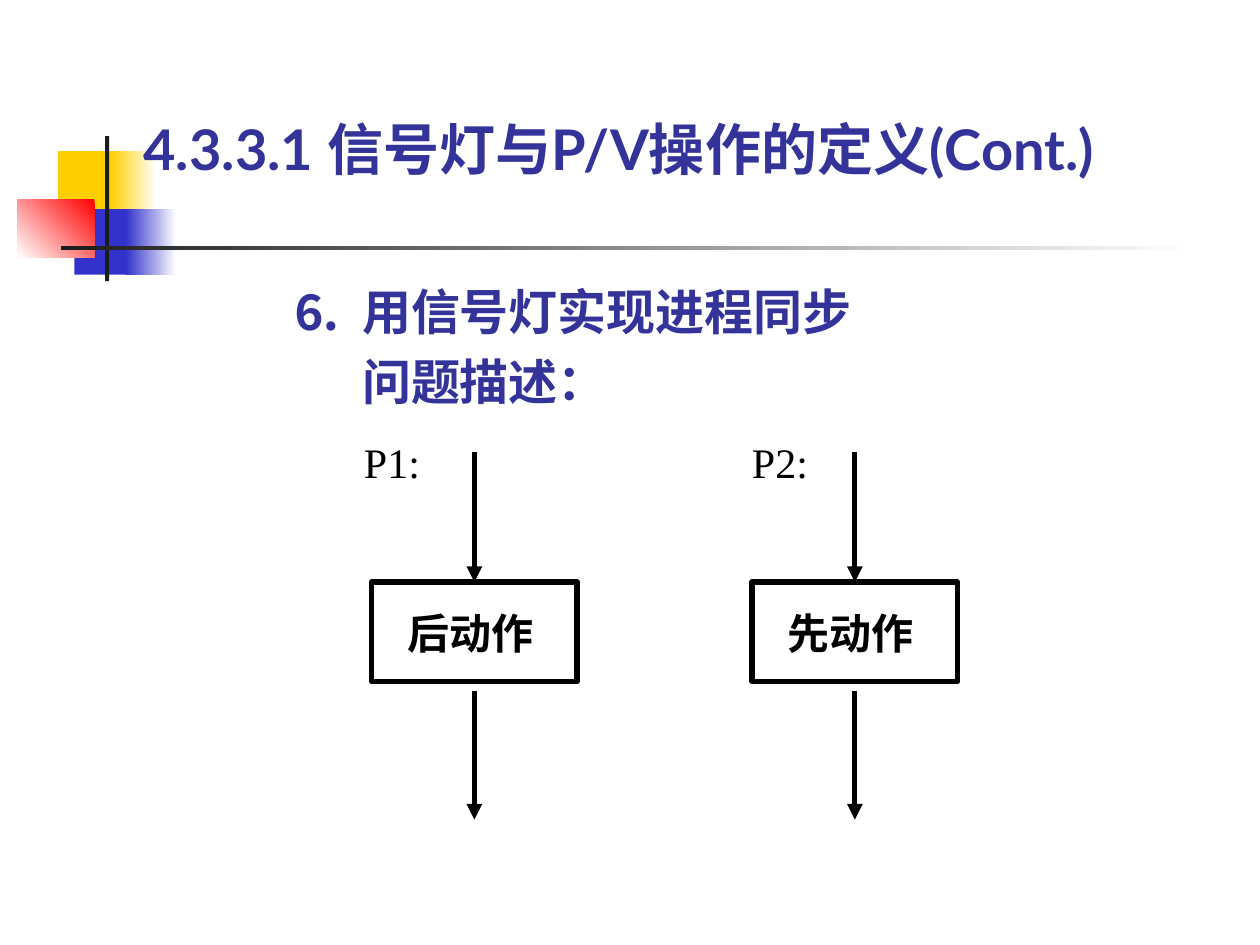
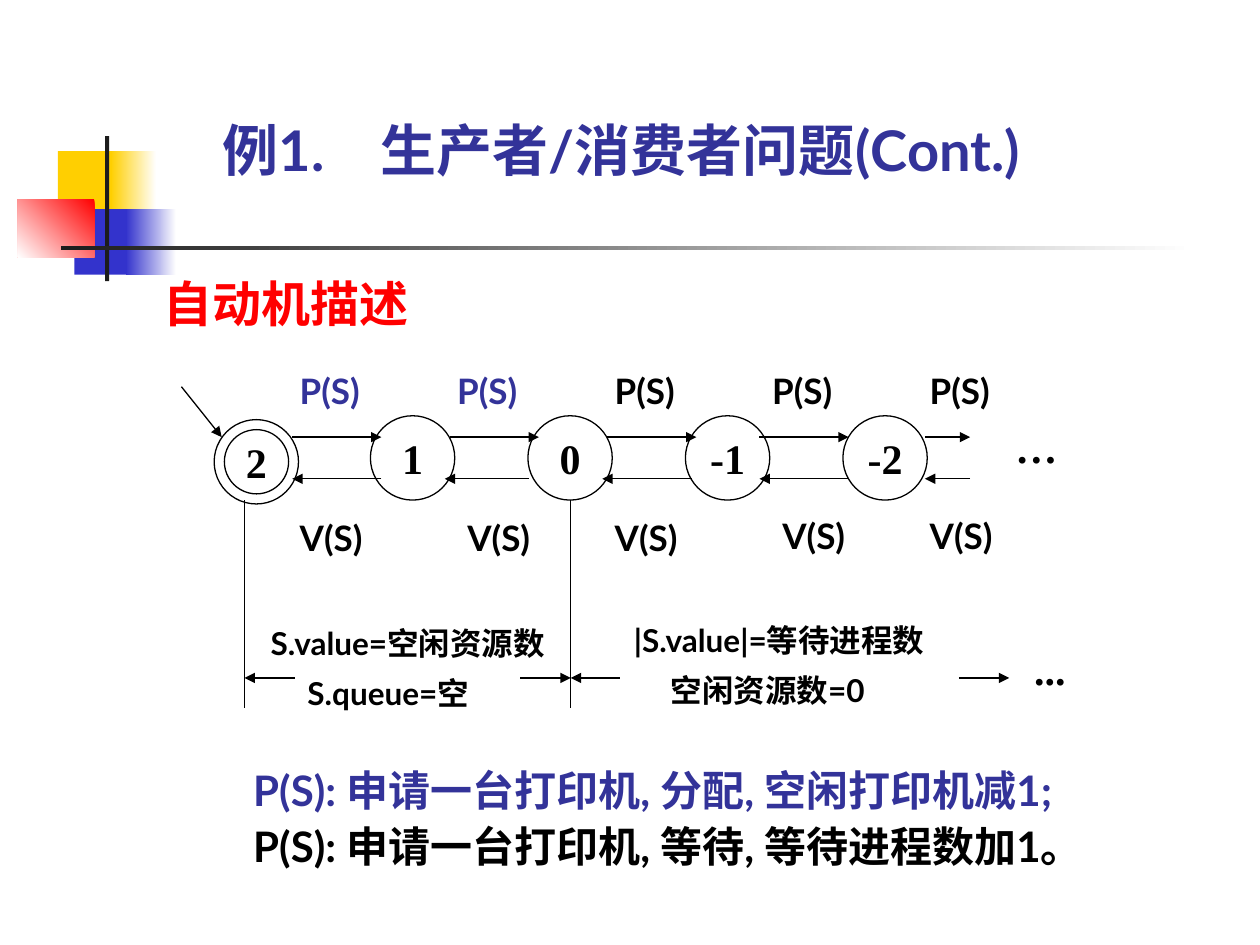
from pptx import Presentation
from pptx.dml.color import RGBColor
from pptx.enum.shapes import MSO_CONNECTOR as CONNECTOR, MSO_SHAPE as SHAPE
from pptx.enum.text import MSO_ANCHOR as ANCHOR, MSO_AUTO_SIZE as AUTO_SIZE, PP_ALIGN as ALIGN
from pptx.oxml.ns import qn
from pptx.util import Pt
from lxml.etree import SubElement

rgb = RGBColor.from_string
BLUE, RED, BLACK, WHITE = "333399", "FF0000", "000000", "FFFFFF"
YELLOW, INDIGO, CHARCOAL = "FFCF01", "3333CC", "1C1C1C"
LATIN, SERIF, COMIC = "Lato", "Times New Roman", "Comic Neue"
LABEL_INSETS = (7.2, 3.6, 7.2, 3.6)
HEADING_SIZE, SECTION_SIZE = 32, 28


def write_text(shape, lines, size=24, font=LATIN, colors=(BLACK,), bold=True, align=ALIGN.LEFT,
               anchor=ANCHOR.TOP, insets=(0, 0, 0, 0), wrap=True, spacing=1.0, before=0,
               indent=0, hanging=0):
    frame = shape.text_frame
    frame.auto_size = AUTO_SIZE.NONE
    frame.word_wrap = wrap
    frame.vertical_anchor = anchor
    frame.margin_left, frame.margin_top, frame.margin_right, frame.margin_bottom = map(Pt, insets)
    for index, line in enumerate(lines):
        paragraph = frame.paragraphs[0] if index == 0 else frame.add_paragraph()
        paragraph.text = line
        paragraph.alignment = align
        paragraph.line_spacing = spacing
        paragraph.space_before = Pt(before if index else 0)
        left = hanging or (indent if index else 0)
        properties = paragraph._p.get_or_add_pPr()
        properties.set("marL", str(Pt(left)))
        properties.set("indent", str(-Pt(hanging) if index == 0 else 0))
        for run in paragraph.runs:
            run.font.name = font
            run.font.size = Pt(size)
            run.font.bold = bold
            run.font.color.rgb = rgb(colors[min(index, len(colors) - 1)])


def add_line(slide, x1, y1, x2, y2, width=0.75, arrow=True):
    line = slide.shapes.add_connector(CONNECTOR.STRAIGHT, Pt(x1), Pt(y1), Pt(x2), Pt(y2))
    line.line.color.rgb = rgb(BLACK)
    line.line.width = Pt(width)
    properties = line.element.spPr
    if arrow:
        SubElement(properties.find(qn("a:ln")), qn("a:tailEnd"), type="triangle")
    SubElement(properties, qn("a:effectLst"))
    return line


presentation = Presentation()
presentation.slide_width, presentation.slide_height = Pt(720), Pt(540)
layout = presentation.slide_layouts[5]

headings = [
    ("4.3.3.1 信号灯与P/V操作的定义(Cont.)", (82, 65.5, 607, 38.2), 0),
    ("例1.\t生产者/消费者问题(Cont.)", (127.4, 27.4, 487.4, 77), 90),
]
slides = []
for heading, box, hanging in headings:
    slide = presentation.slides.add_slide(layout)
    title = slide.shapes.title
    title.left, title.top, title.width, title.height = map(Pt, box)
    write_text(title, [heading], size=HEADING_SIZE, colors=[BLUE], anchor=ANCHOR.BOTTOM,
               hanging=hanging)
    slides.append(slide)
sync_slide, automaton_slide = slides

decorations = [
    ((33.1, 86.4, 34.6, 37.4), [YELLOW], 0),
    ((63.4, 86.4, 25.9, 37.4), [WHITE, YELLOW], 180),
    ((42.5, 119.5, 33.1, 37.4), [INDIGO], 0),
    ((72, 119.5, 28.8, 37.4), [WHITE, INDIGO], 180),
    ((10.1, 113.8, 43.9, 33.1), [RED, WHITE], 225),
    ((60, 77.8, 2.4, 82.8), [CHARCOAL], 0),
    ((34.6, 140.4, 648, 2.4), [WHITE, CHARCOAL], 180),
]
for box, colors, angle in decorations:
    block = sync_slide.shapes.add_shape(SHAPE.RECTANGLE, *map(Pt, box))
    block.shadow.inherit = False
    block.line.fill.background()
    if len(colors) == 1:
        block.fill.solid()
        block.fill.fore_color.rgb = rgb(colors[0])
    else:
        block.fill.gradient()
        block.fill.gradient_angle = angle
        for stop, color in zip(block.fill.gradient_stops, colors):
            stop.color.rgb = rgb(color)
    layout.shapes.element.append(block.element)

problem = sync_slide.shapes.add_textbox(Pt(167), Pt(154), Pt(340), Pt(80.7))
write_text(problem, ["⒍\t用信号灯实现进程同步", "问题描述："], size=SECTION_SIZE, colors=[BLUE],
           anchor=ANCHOR.BOTTOM, spacing=1.2, hanging=40)

box_top, box_width, box_height = 332.6, 117.4, 56.9
for name, action, name_left, box_left in [("P1:", "后动作", 200.9, 212.4),
                                          ("P2:", "先动作", 422.6, 429.8)]:
    label = sync_slide.shapes.add_textbox(Pt(name_left), Pt(246.2), Pt(54), Pt(36))
    write_text(label, [name], font=SERIF, bold=False, insets=LABEL_INSETS)
    action_box = sync_slide.shapes.add_shape(SHAPE.RECTANGLE, Pt(box_left), Pt(box_top),
                                             Pt(box_width), Pt(box_height))
    action_box.shadow.inherit = False
    action_box.fill.background()
    action_box.line.color.rgb = rgb(BLACK)
    action_box.line.width = Pt(3)
    write_text(action_box, [action], font=COMIC, insets=(20.4, 14.4, 14.4, 14.4))
    middle = box_left + box_width / 2
    entry = add_line(sync_slide, middle, 258.5, middle, box_top, width=3)
    entry.end_connect(action_box, 0)
    add_line(sync_slide, middle, 394.6, middle, 468.4, width=3)

section = automaton_slide.shapes.add_textbox(Pt(93.6), Pt(156.2), Pt(147.6), Pt(33.8))
write_text(section, ["自动机描述"], size=SECTION_SIZE, colors=[RED], anchor=ANCHOR.BOTTOM)

pitch = 90
states = [("2", 122.4, 239.8, 48.2), ("", 128.2, 245.5, 36.7)]
states += [(value, 211.7 + pitch * step, 237.6, 48.2)
           for step, value in enumerate(["1", "0", "-1", "-2"])]
for value, left, top, diameter in states:
    state = automaton_slide.shapes.add_shape(SHAPE.OVAL, Pt(left), Pt(top),
                                             Pt(diameter), Pt(diameter))
    state.shadow.inherit = False
    state.fill.background()
    state.line.color.rgb = rgb(BLACK)
    state.line.width = Pt(0.75)
    if value:
        write_text(state, [value], font=SERIF, align=ALIGN.CENTER, anchor=ANCHOR.MIDDLE,
                   insets=LABEL_INSETS, wrap=False)

for start, end in [(167, 218), (257, 308), (347, 398), (434, 485), (528.5, 554.4)]:
    add_line(automaton_slide, start, 249.8, end, 249.8)
for start, end in [(218, 167), (302.4, 254.2), (395.3, 344.2), (485, 434), (554.4, 528.5)]:
    add_line(automaton_slide, start, 273.6, end, 273.6)

transitions = [("P(S)", 164.2 + pitch * step, 207.4, BLUE if step < 2 else BLACK)
               for step in range(5)]
transitions += [("V(S)", left, top, BLACK) for left, top in
                [(164.2, 291.6), (260, 291.6), (344.2, 291.6), (440, 290.2), (524.2, 290.2)]]
for name, left, top, color in transitions:
    label = automaton_slide.shapes.add_textbox(Pt(left), Pt(top), Pt(59.8), Pt(31.7))
    write_text(label, [name], size=20, colors=[color], insets=LABEL_INSETS)

add_line(automaton_slide, 103.7, 221, 126.7, 249.8)
for boundary in (139.7, 326.2):
    add_line(automaton_slide, boundary, 285.8, boundary, 404.6, arrow=False)
for start, end in [(168.5, 139.7), (297.4, 326.2), (354.2, 326.2), (547.9, 576.7)]:
    add_line(automaton_slide, start, 387.4, end, 387.4)

ranges = [
    (["S.value=空闲资源数", "S.queue=空"], (147.6, 357.1, 188.6, 53.3), LABEL_INSETS),
    (["|S.value|=等待进程数", "空闲资源数=0"], (362.2, 359.3, 199.4, 46.1), (0, 0, 0, 0)),
]
for lines, box, insets in ranges:
    label = automaton_slide.shapes.add_textbox(*map(Pt, box))
    write_text(label, lines, size=18, insets=insets, spacing=0.8, before=11.2, indent=21)

for dots, left, top, width in [("…", 573.1, 237.6, 36), ("...", 583.9, 364.3, 48.2)]:
    label = automaton_slide.shapes.add_textbox(Pt(left), Pt(top), Pt(width), Pt(36))
    write_text(label, [dots], font=SERIF, insets=LABEL_INSETS)

explanation = automaton_slide.shapes.add_textbox(Pt(144.7), Pt(434.2), Pt(493.2), Pt(105.8))
write_text(explanation, ["P(S): 申请一台打印机, 分配, 空闲打印机减1;",
                         "P(S): 申请一台打印机, 等待, 等待进程数加1。"],
           colors=[BLUE, BLACK], spacing=1.1)

presentation.save("out.pptx")
